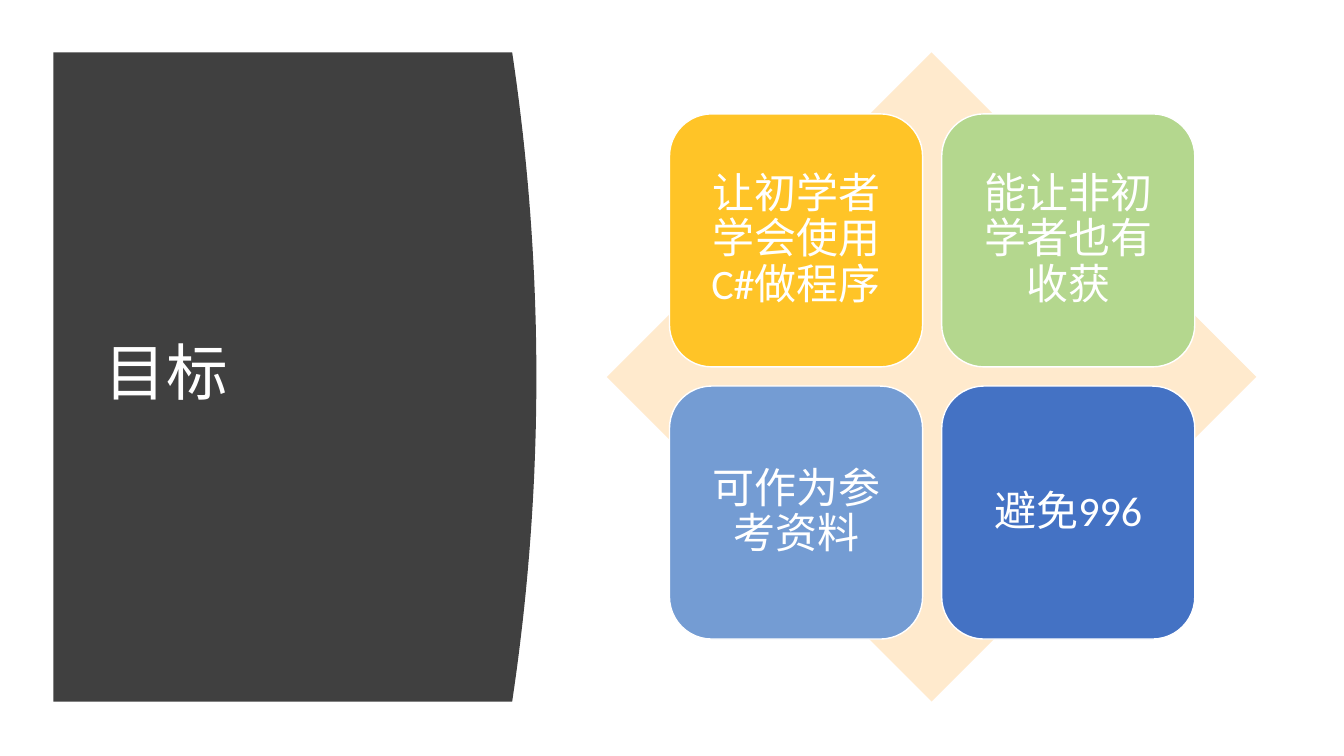
from pptx import Presentation
from pptx.dml.color import RGBColor
from pptx.enum.shapes import MSO_SHAPE
from pptx.enum.text import MSO_ANCHOR, MSO_AUTO_SIZE, PP_ALIGN
from pptx.util import Inches, Pt

WHITE = RGBColor(0xFF, 0xFF, 0xFF)
CHARCOAL = RGBColor(0x40, 0x40, 0x40)
CREAM = RGBColor(0xFF, 0xEA, 0xCD)
AMBER = RGBColor(0xFF, 0xC4, 0x27)
GREEN = RGBColor(0xB4, 0xD7, 0x8E)
SKY = RGBColor(0x74, 0x9C, 0xD3)
BLUE = RGBColor(0x44, 0x72, 0xC4)

deck = Presentation()
deck.slide_width = Inches(13.33)
deck.slide_height = Inches(7.5)
page = deck.slides.add_slide(deck.slide_layouts[5])

# Dark panel whose right edge bulges as a parabola
left, top, height = 0.53, 0.52, 6.44
peak, bulge, steps = 5.32, 0.24, 40
edge = []
for step in range(steps + 1):
    offset = 2 * step / steps - 1
    edge.append((Inches(peak - bulge * offset ** 2),
                 Inches(top + height * step / steps)))
outline = page.shapes.build_freeform(Inches(left), Inches(top))
outline.add_line_segments(edge + [(Inches(left), Inches(top + height))], close=True)
panel = outline.convert_to_shape()
panel.shadow.inherit = False
panel.fill.solid()
panel.fill.fore_color.rgb = CHARCOAL
panel.line.fill.background()

# Title, in front of the panel
title = page.shapes.title
panel.element.addnext(title.element)
title.left, title.top = Inches(0.94), Inches(1.11)
title.width, title.height = Inches(3.74), Inches(5.24)
title.text = "目标"
title.text_frame.auto_size = MSO_AUTO_SIZE.NONE
title.text_frame.vertical_anchor = MSO_ANCHOR.MIDDLE
heading = title.text_frame.paragraphs[0]
heading.alignment = PP_ALIGN.LEFT
heading.line_spacing = 0.9
heading.font.name = "TeX Gyre Adventor"
heading.font.size = Pt(44)
heading.font.color.rgb = WHITE

# Diamond behind the goals
diamond = page.shapes.add_shape(MSO_SHAPE.DIAMOND, Inches(6.02), Inches(top),
                                Inches(height), Inches(height))
diamond.shadow.inherit = False
diamond.fill.solid()
diamond.fill.fore_color.rgb = CREAM
diamond.line.fill.background()

# Two by two grid of goals
goals = [
    ("让初学者学会使用C#做程序", AMBER),
    ("能让非初学者也有收获", GREEN),
    ("可作为参考资料", SKY),
    ("避免996", BLUE),
]
side, pitch = 2.51, 2.7
for index, (goal, color) in enumerate(goals):
    row, column = divmod(index, 2)
    box = page.shapes.add_shape(
        MSO_SHAPE.ROUNDED_RECTANGLE,
        Inches(6.64 + column * pitch), Inches(1.13 + row * pitch),
        Inches(side), Inches(side))
    box.shadow.inherit = False
    box.fill.solid()
    box.fill.fore_color.rgb = color
    box.line.color.rgb = WHITE
    box.line.width = Pt(1)
    frame = box.text_frame
    frame.word_wrap = True
    frame.vertical_anchor = MSO_ANCHOR.MIDDLE
    frame.margin_left = frame.margin_right = Inches(0.12)
    frame.margin_top = frame.margin_bottom = Inches(0.12)
    para = frame.paragraphs[0]
    para.text = goal
    para.alignment = PP_ALIGN.CENTER
    para.line_spacing = 0.9
    para.font.name = "Calibri"
    para.font.size = Pt(30)
    para.font.color.rgb = WHITE

deck.save("out.pptx")
